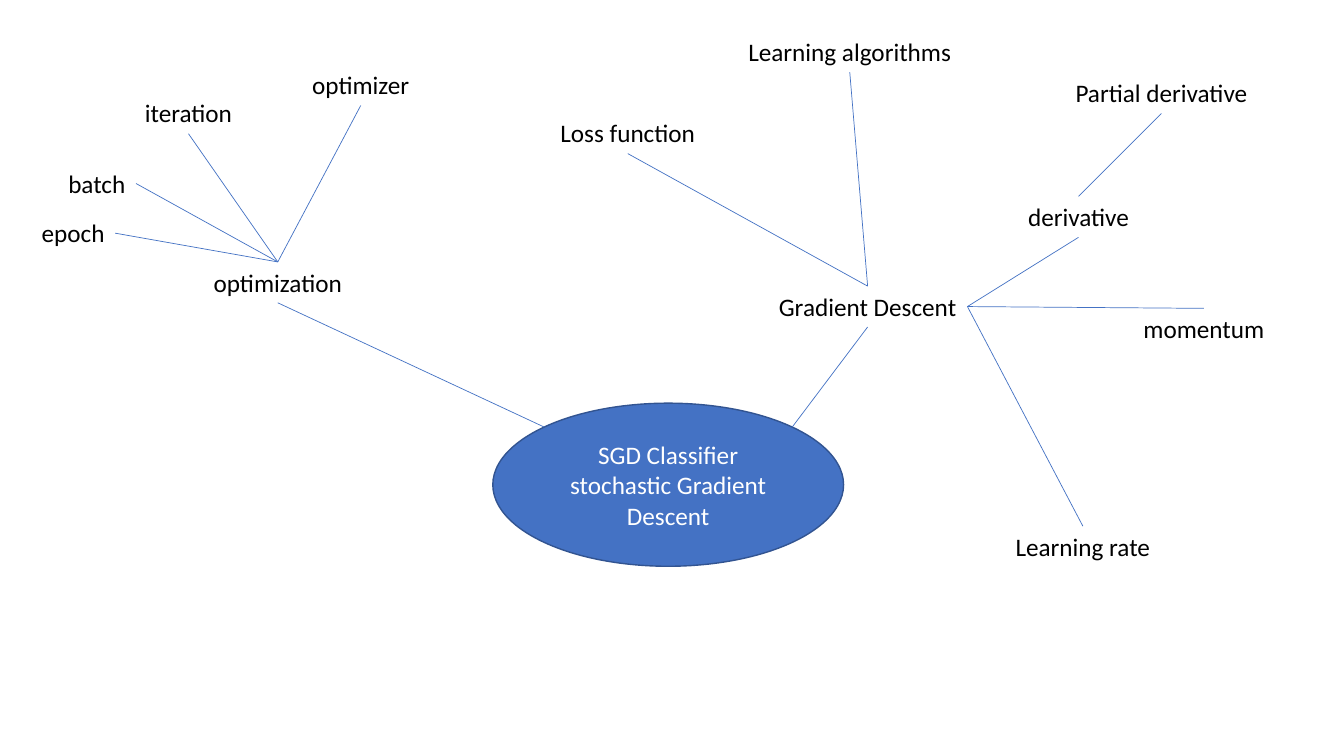
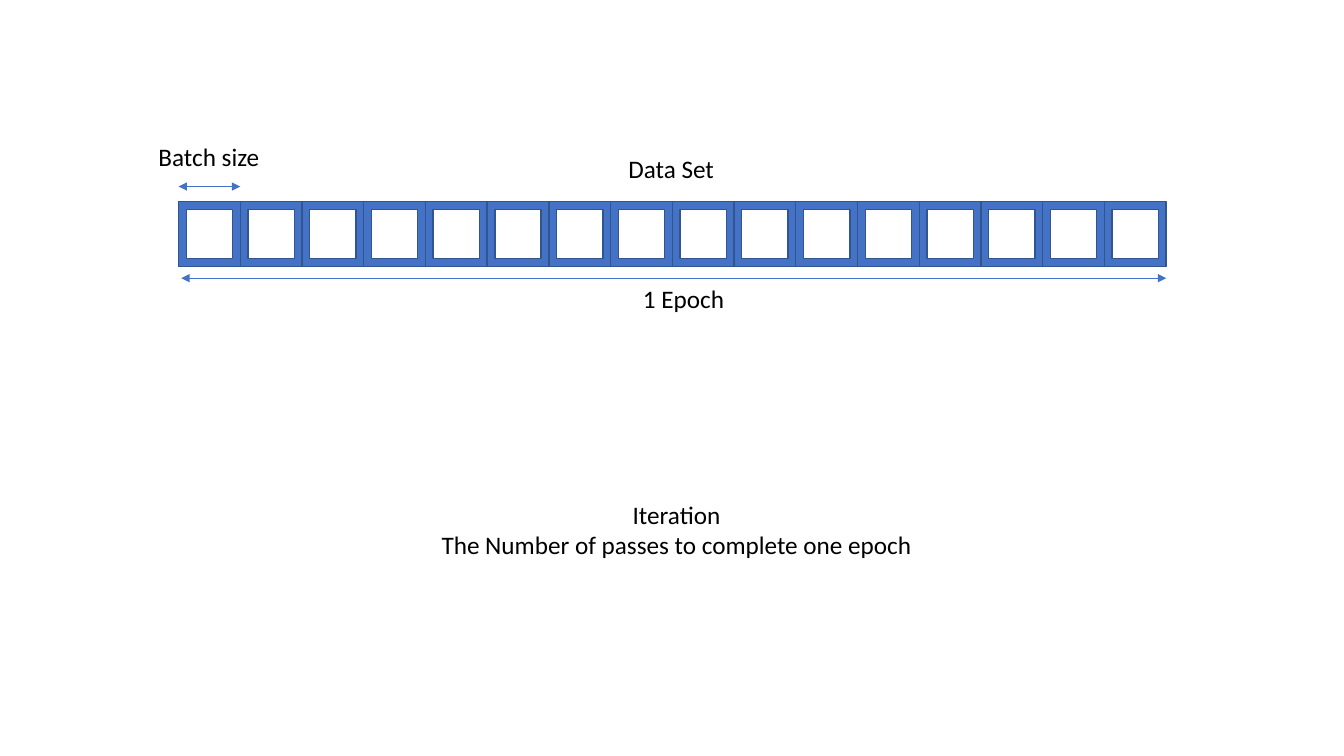
from dataclasses import dataclass
from math import sqrt

from lxml import etree
from pptx import Presentation
from pptx.dml.color import RGBColor
from pptx.enum.shapes import MSO_CONNECTOR, MSO_SHAPE
from pptx.enum.text import MSO_ANCHOR, MSO_AUTO_SIZE, PP_ALIGN
from pptx.oxml.ns import qn
from pptx.util import Cm, Pt

LINE = MSO_CONNECTOR.STRAIGHT
OVAL = MSO_SHAPE.OVAL
FRAME = MSO_SHAPE.FRAME
MIDDLE = MSO_ANCHOR.MIDDLE
FIT = MSO_AUTO_SIZE.SHAPE_TO_FIT_TEXT
CENTER = PP_ALIGN.CENTER

BLUE = "4472C4"
NAVY = "325491"
BLACK = "000000"
WHITE = "FFFFFF"
FONT = {"name": "Calibri", "size": Pt(18)}
LABEL = {"word_wrap": False, "auto_size": FIT}
INNER = {"word_wrap": True, "vertical_anchor": MIDDLE}
TOP, LEFT, BOTTOM, RIGHT = range(4)


@dataclass
class Label:
    text: str
    x: float
    y: float
    w: float
    h: float = 1.03


@dataclass
class Edge:
    start: str
    out: int
    end: str
    into: int


@dataclass
class Arrow:
    x1: float
    x2: float
    y: float


HUB = Label("SGD Classifier\nstochastic Gradient Descent", 12.42, 10.16, 8.84, 4.11)

TOPICS = [
    Label("optimization", 5.11, 6.6, 3.78),
    Label("optimizer", 7.54, 1.63, 3.1),
    Label("Gradient Descent", 19.35, 7.21, 5.03),
    Label("derivative", 25.63, 4.95, 3.1),
    Label("Partial derivative", 26.82, 1.83, 4.9),
    Label("Learning rate", 25.32, 13.26, 3.94),
    Label("momentum", 28.55, 7.77, 3.58),
    Label("Loss function", 13.84, 2.84, 3.96),
    Label("Learning algorithms", 18.57, 0.79, 5.69),
    Label("iteration", 3.38, 2.34, 2.74),
    Label("batch", 1.45, 4.11, 1.98),
    Label("epoch", 0.79, 5.36, 2.11),
]

EDGES = [
    Edge("optimization", TOP, "optimizer", BOTTOM),
    Edge("optimization", TOP, "iteration", BOTTOM),
    Edge("optimization", TOP, "batch", RIGHT),
    Edge("optimization", TOP, "epoch", RIGHT),
    Edge("Gradient Descent", RIGHT, "derivative", BOTTOM),
    Edge("derivative", TOP, "Partial derivative", BOTTOM),
    Edge("Gradient Descent", RIGHT, "Learning rate", TOP),
    Edge("Gradient Descent", RIGHT, "momentum", TOP),
    Edge("Gradient Descent", TOP, "Loss function", BOTTOM),
    Edge("Gradient Descent", TOP, "Learning algorithms", BOTTOM),
]

COUNT = 16
ROW_LEFT, ROW_RIGHT = 4.5, 29.39
ROW_TOP, ROW_HIGH = 5.08, 1.63
STEP = (ROW_RIGHT - ROW_LEFT) / COUNT

ARROWS = [
    Arrow(ROW_LEFT, ROW_LEFT + STEP, 4.7),
    Arrow(4.57, ROW_RIGHT, 7.01),
]

NOTES = [
    Label("Batch size", 3.73, 3.43, 3.07),
    Label("1 Epoch", 15.93, 7.01, 2.59),
    Label("Data Set", 15.57, 3.73, 2.69),
    Label("Iteration\nThe Number of passes to complete one epoch", 10.8, 12.45, 12.5, 1.8),
]


def color(code: str) -> RGBColor:
    return RGBColor.from_string(code)


def apply(item, values: dict) -> None:
    for key, value in values.items():
        setattr(item, key, value)


def write(shape, text: str, code: str, layout: dict) -> None:
    frame = shape.text_frame
    frame.text = text
    apply(frame, layout)
    for para in frame.paragraphs:
        para.alignment = CENTER
        for run in para.runs:
            apply(run.font, FONT)
            run.font.color.rgb = color(code)


def add_label(slide, label: Label):
    box = slide.shapes.add_textbox(Cm(label.x), Cm(label.y), Cm(label.w), Cm(label.h))
    write(box, label.text, BLACK, LABEL)
    return box


def add_solid(shapes, kind, x: float, y: float, w: float, h: float):
    shape = shapes.add_shape(kind, Cm(x), Cm(y), Cm(w), Cm(h))
    shape.shadow.inherit = False
    shape.fill.solid()
    shape.fill.fore_color.rgb = color(BLUE)
    shape.line.color.rgb = color(NAVY)
    shape.line.width = Pt(1)
    return shape


def add_line(slide, x1: float = 0, y1: float = 0, x2: float = 0, y2: float = 0):
    line = slide.shapes.add_connector(LINE, Cm(x1), Cm(y1), Cm(x2), Cm(y2))
    line.line.color.rgb = color(BLUE)
    line.line.width = Pt(0.5)
    etree.SubElement(line._element.spPr, qn("a:effectLst"))
    return line


def add_arrow(slide, arrow: Arrow) -> None:
    line = add_line(slide, arrow.x1, arrow.y, arrow.x2, arrow.y)
    stroke = line.line._get_or_add_ln()
    for end in ("a:headEnd", "a:tailEnd"):
        etree.SubElement(stroke, qn(end), type="triangle")


def draw_map(slide) -> None:
    hub = add_solid(slide.shapes, OVAL, HUB.x, HUB.y, HUB.w, HUB.h)
    write(hub, HUB.text, WHITE, INNER)
    boxes = {topic.text: add_label(slide, topic) for topic in TOPICS}
    for edge in EDGES:
        line = add_line(slide)
        line.begin_connect(boxes[edge.start], edge.out)
        line.end_connect(boxes[edge.end], edge.into)
    rim = HUB.y + HUB.h / 2 * (1 - sqrt(0.5))
    for name, side in (("optimization", -1), ("Gradient Descent", 1)):
        x = HUB.x + HUB.w / 2 * (1 + side * sqrt(0.5))
        add_line(slide, x, rim).end_connect(boxes[name], BOTTOM)


def draw_row(slide) -> None:
    group = slide.shapes.add_group_shape()
    for index in range(COUNT):
        add_solid(group.shapes, FRAME, ROW_LEFT + index * STEP, ROW_TOP, STEP, ROW_HIGH)
    for arrow in ARROWS:
        add_arrow(slide, arrow)
    for note in NOTES:
        add_label(slide, note)


def main() -> None:
    deck = Presentation()
    apply(deck, {"slide_width": Cm(33.87), "slide_height": Cm(19.05)})
    for draw in (draw_map, draw_row):
        draw(deck.slides.add_slide(deck.slide_layouts[6]))
    deck.save("out.pptx")


if __name__ == "__main__":
    main()
